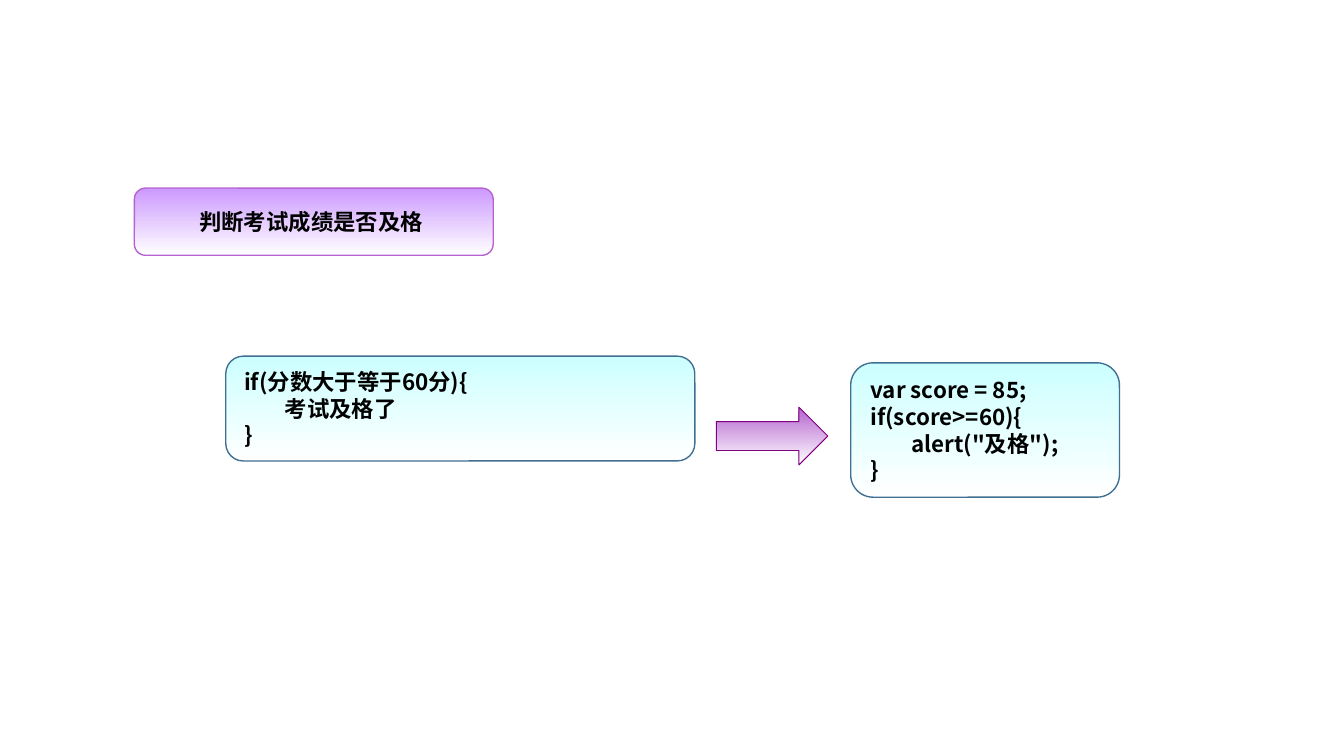
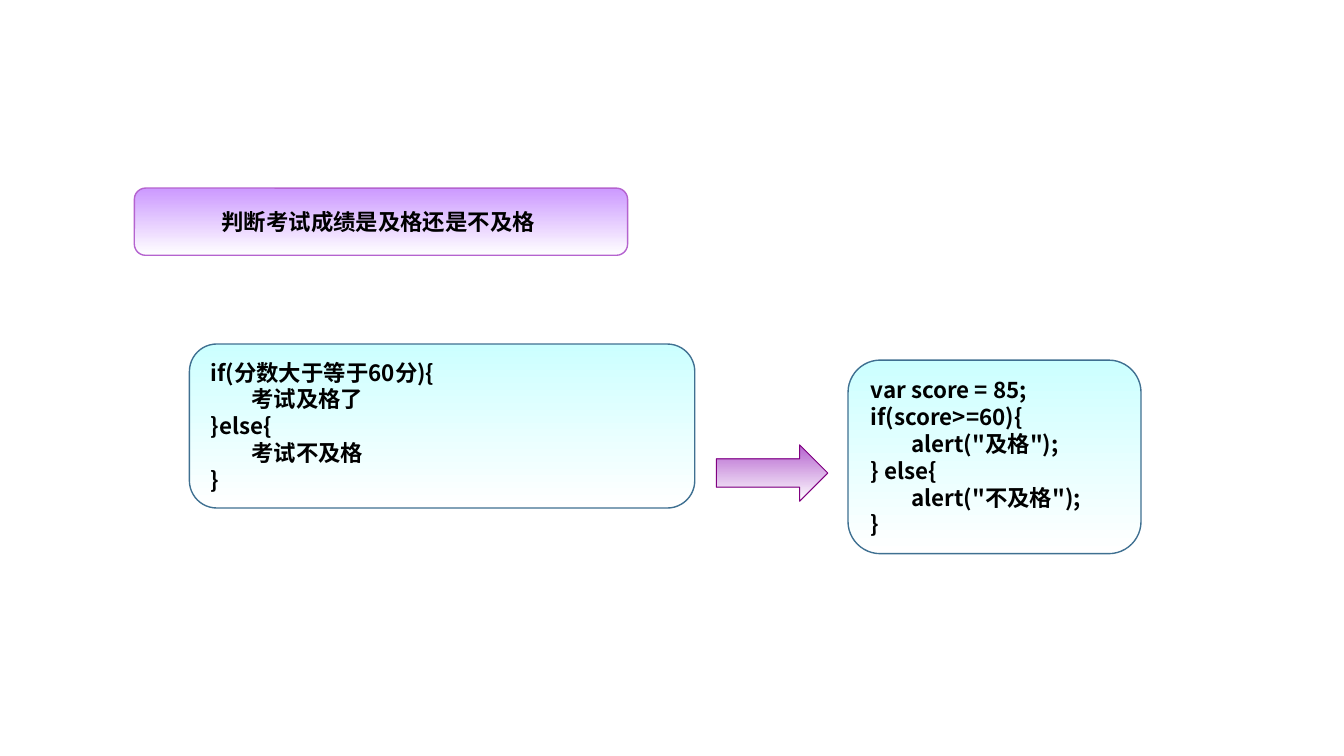
from lxml import etree
from pptx import Presentation, util as u
from pptx.dml.color import RGBColor
from pptx.enum import shapes, text
from pptx.oxml.ns import qn

FONT = "Noto Sans CJK SC"
COLORS = {
    "text": "000000",
    "fade": "FFFFFF",
    "title": "CC99FF",
    "title_line": "B563CF",
    "code": "CCFFFF",
    "code_line": "3F7091",
    "arrow": "B563CF",
    "arrow_line": "800080",
}
FRAME = {
    "margin_left": u.Inches(0.1),
    "margin_right": u.Inches(0.1),
    "margin_top": u.Inches(0.05),
    "margin_bottom": u.Inches(0.05),
}
TITLE_FRAME = FRAME | {
    "word_wrap": False,
    "vertical_anchor": text.MSO_ANCHOR.MIDDLE,
}
CODE_FRAME = FRAME | {
    "word_wrap": True,
    "vertical_anchor": text.MSO_ANCHOR.TOP,
    "auto_size": text.MSO_AUTO_SIZE.SHAPE_TO_FIT_TEXT,
}
TITLE_PARAGRAPH = {"alignment": text.PP_ALIGN.CENTER}
CODE_PARAGRAPH = {"alignment": text.PP_ALIGN.LEFT, "line_spacing": u.Pt(14.4)}
TEXT_FONT = {"size": u.Pt(12), "bold": True, "name": FONT}
HANGING = u.Inches(0.38)

# Each slide: title, then boxes and arrow as (left, top, width, height)
SLIDES = [
    {
        "title": "判断考试成绩是否及格 ",
        "title_width": 2.67,
        "code_box": (6.33, 2.7, 2, 1),
        "code": ["var score = 85;", "if(score>=60){", '        alert("及格");', "}"],
        "logic_box": (1.68, 2.65, 3.49, 0.78),
        "logic": ["if(分数大于等于60分){", "        考试及格了", "}"],
        "arrow_box": (5.33, 3.03, 0.83, 0.43),
    },
    {
        "title": "判断考试成绩是及格还是不及格 ",
        "title_width": 3.67,
        "code_box": (6.31, 2.68, 2.18, 1.44),
        "code": ["var score = 85;", "if(score>=60){", '        alert("及格");',
                 "} else{", '        alert("不及格");', "}"],
        "logic_box": (1.41, 2.56, 3.76, 1.22),
        "logic": ["if(分数大于等于60分){", "        考试及格了", "}else{",
                  "        考试不及格", "}"],
        "arrow_box": (5.33, 3.31, 0.83, 0.42),
    },
]


def color(name):
    return RGBColor.from_string(COLORS[name])


def apply_format(target, values):
    for name, value in values.items():
        setattr(target, name, value)


def add_gradient_shape(slide, kind, box, style, line_width):
    """Add a shape that fades downwards from its style colour to white."""
    shape = slide.shapes.add_shape(kind, *map(u.Inches, box))
    shape.shadow.inherit = False
    shape.fill.gradient()
    shape.fill.gradient_angle = 270
    for stop, name in zip(shape.fill.gradient_stops, (style, "fade")):
        stop.color.rgb = color(name)
    shape.line.color.rgb = color(style + "_line")
    shape.line.width = u.Pt(line_width)
    return shape


def add_line(paragraph, line, values):
    apply_format(paragraph, values)
    run = paragraph.add_run()
    run.text = line
    apply_format(run.font, TEXT_FONT)
    run.font.color.rgb = color("text")
    # East Asian glyphs use the same typeface
    etree.SubElement(run.font._element, qn("a:ea"), typeface=FONT)


def add_text_box(slide, box, style, lines, frame_values, paragraph_values):
    shape = add_gradient_shape(
        slide, shapes.MSO_SHAPE.ROUNDED_RECTANGLE, box, style, 0.75)
    frame = shape.text_frame
    apply_format(frame, frame_values)
    for index, line in enumerate(lines):
        paragraph = frame.add_paragraph() if index else frame.paragraphs[0]
        add_line(paragraph, line, paragraph_values)
    return shape


def add_title(slide, title, width):
    add_text_box(slide, (1, 1.4, width, 0.5), "title", [title],
                 TITLE_FRAME, TITLE_PARAGRAPH)


def add_code(slide, box, lines):
    shape = add_text_box(slide, box, "code", lines, CODE_FRAME, CODE_PARAGRAPH)
    for paragraph in shape.text_frame.paragraphs:
        properties = paragraph._p.get_or_add_pPr()
        properties.set("marL", str(HANGING))
        properties.set("indent", str(-HANGING))


def add_arrow(slide, box):
    add_gradient_shape(slide, shapes.MSO_SHAPE.RIGHT_ARROW, box, "arrow", 0.5)


def main():
    presentation = Presentation()
    # Widescreen, 16:9
    presentation.slide_width = u.Inches(10)
    presentation.slide_height = u.Inches(10 * 9 / 16)
    blank = presentation.slide_layouts[6]
    for content in SLIDES:
        slide = presentation.slides.add_slide(blank)
        add_title(slide, content["title"], content["title_width"])
        add_code(slide, content["code_box"], content["code"])
        add_code(slide, content["logic_box"], content["logic"])
        add_arrow(slide, content["arrow_box"])
    presentation.save("out.pptx")


if __name__ == "__main__":
    main()
